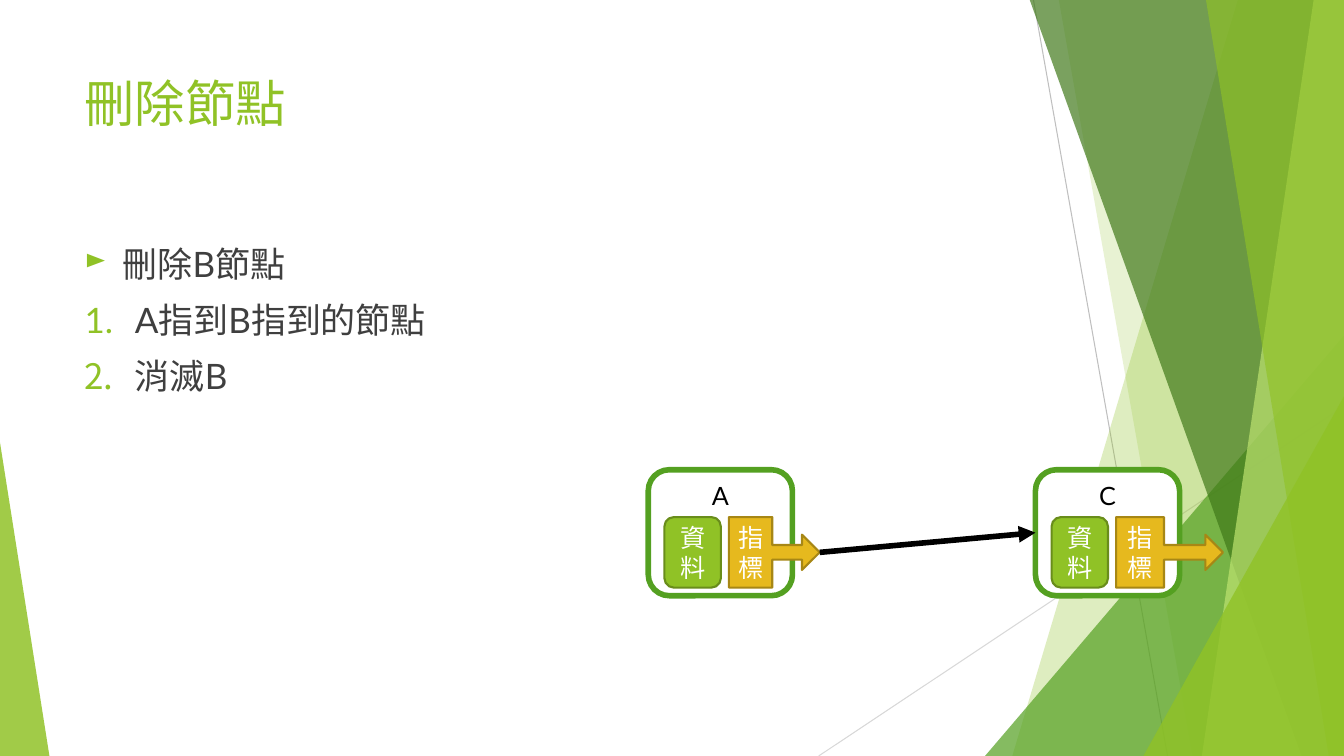
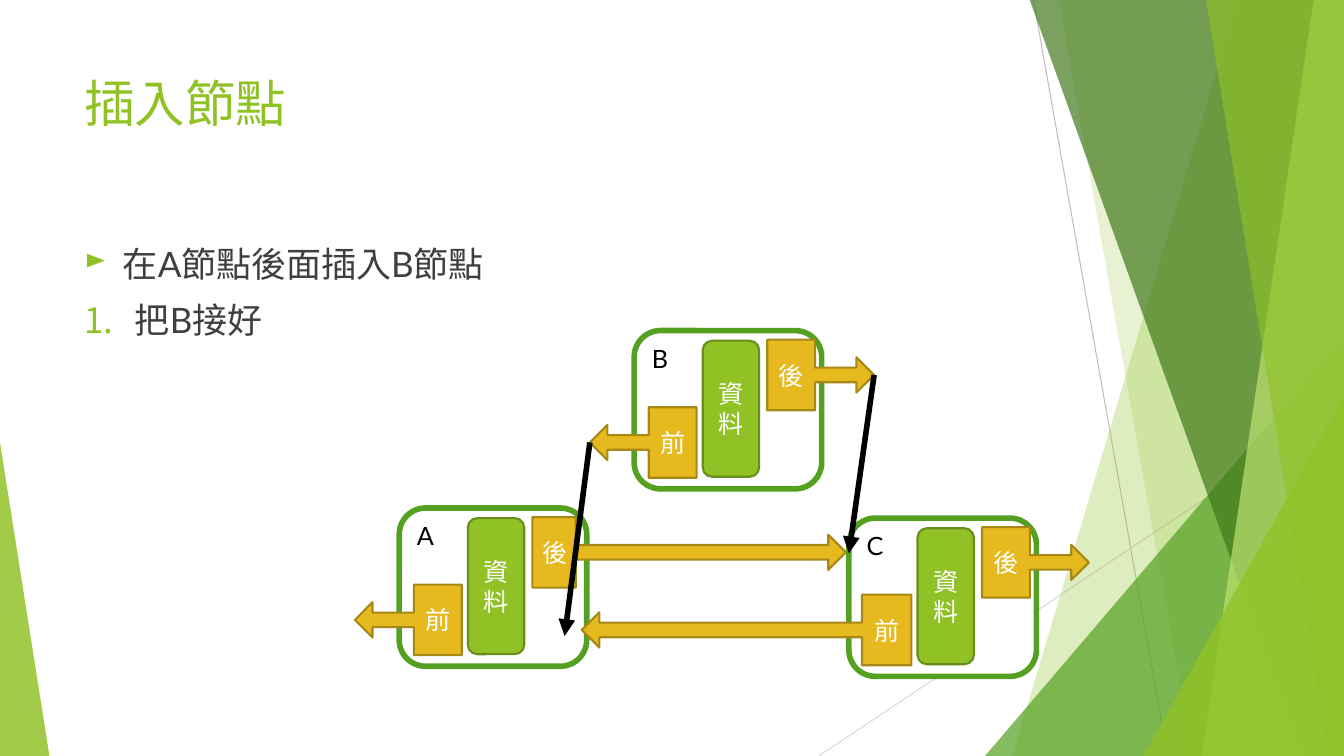
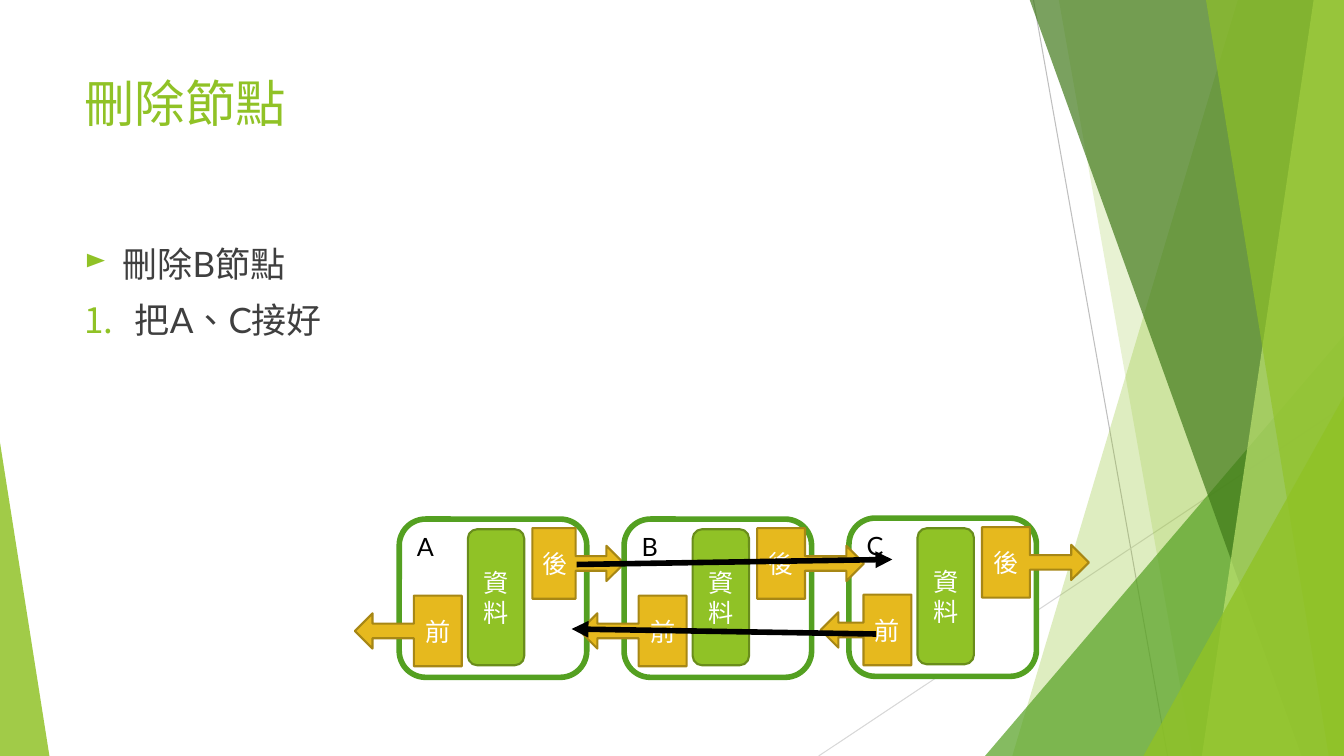
from dataclasses import dataclass
from typing import Optional

from lxml.etree import SubElement
from pptx import Presentation
from pptx.dml.color import RGBColor
from pptx.enum.lang import MSO_LANGUAGE_ID
from pptx.enum.shapes import MSO_CONNECTOR, MSO_SHAPE
from pptx.enum.text import MSO_ANCHOR, PP_ALIGN
from pptx.oxml.ns import qn
from pptx.util import Inches, Pt


@dataclass(frozen=True)
class Theme:
    font: str = "Lato"
    green: str = "90C226"
    mid_green: str = "54A021"
    dark_green: str = "3F7818"
    pale_green: str = "BFE471"
    data_line: str = "698D1B"
    gold: str = "E6B91E"
    gold_line: str = "A78715"
    body: str = "3F3F3F"
    black: str = "000000"
    white: str = "FFFFFF"
    gray: str = "BFBFBF"
    light_gray: str = "D8D8D8"
    title_size: float = 36
    body_size: float = 25
    node_size: float = 18
    heavy_line: float = 4
    thin_line: float = 1.5
    hair_line: float = 0.75


THEME = Theme()
WIDTH, HEIGHT = 13.33, 7.5
BLEED = 0.01


@dataclass(frozen=True)
class Band:
    """Slanted band that runs from its left edge to the right of the slide."""
    top_x: float
    bottom_x: float
    color: str
    opacity: int


@dataclass(frozen=True)
class Corner:
    """Triangle that stands on the bottom edge of the slide."""
    left: float
    top: float
    width: float
    apex: float
    color: str
    opacity: int


@dataclass(frozen=True)
class Pointer:
    length: float = 1.06
    box: float = 0.475


@dataclass(frozen=True)
class Node:
    label: str
    left: float
    top: float
    next: Pointer = Pointer()
    previous: Optional[Pointer] = None


@dataclass
class DrawnNode:
    frame: object
    next: object
    previous: object = None


FACETS = [
    Band(12.28, 10.04, THEME.green, 29),
    Band(10.5, 11.83, THEME.green, 20),
    Corner(9.77, 3.33, 3.56, 1, THEME.mid_green, 71),
    Band(10.21, 12.91, THEME.dark_green, 69),
    Band(13.03, 11.92, THEME.pale_green, 69),
    Band(11.96, 13.18, THEME.green, 64),
    Corner(11.34, 3.93, 1.99, 1, THEME.green, 80),
    Corner(0, 4.39, 0.49, 0, THEME.green, 84),
]


# Text and shape helpers
def write_text(frame, text: str, *, size: float, color: str, align=PP_ALIGN.LEFT,
               anchor=MSO_ANCHOR.TOP, new: bool = False, before: float = 0):
    frame.word_wrap = True
    frame.vertical_anchor = anchor
    paragraph = frame.add_paragraph() if new else frame.paragraphs[0]
    paragraph.alignment = align
    paragraph.space_before = Pt(before)
    run = paragraph.add_run()
    run.text = text
    run.font.name = THEME.font
    run.font.size = Pt(size)
    run.font.color.rgb = RGBColor.from_string(color)
    run.font.language_id = MSO_LANGUAGE_ID.TRADITIONAL_CHINESE
    return paragraph


def set_bullet(paragraph, numbered: bool) -> None:
    indent = Inches(0.5 if numbered else 0.38)
    properties = paragraph._p.get_or_add_pPr()
    properties.set("marL", str(indent))
    properties.set("indent", str(-indent))
    color = SubElement(properties, qn("a:buClr"))
    SubElement(color, qn("a:srgbClr"), val=THEME.green)
    if numbered:
        SubElement(properties, qn("a:buFont"), typeface=THEME.font)
        SubElement(properties, qn("a:buAutoNum"), type="arabicPeriod")
    else:
        SubElement(properties, qn("a:buSzPct"), val="80000")
        SubElement(properties, qn("a:buChar"), char="►")


def style_shape(shape, fill: str, *, line: Optional[str] = None,
                line_width: float = 0, opacity: int = 100) -> None:
    shape.shadow.inherit = False
    shape.fill.solid()
    shape.fill.fore_color.rgb = RGBColor.from_string(fill)
    if opacity < 100:
        color = shape.element.spPr.find(".//" + qn("a:srgbClr"))
        SubElement(color, qn("a:alpha"), val=str(opacity * 1000))
    if line:
        shape.line.color.rgb = RGBColor.from_string(line)
        shape.line.width = Pt(line_width)
    else:
        shape.line.fill.background()


def add_shape(shapes, kind, left: float, top: float, width: float, height: float):
    return shapes.add_shape(kind, Inches(left), Inches(top), Inches(width), Inches(height))


def add_line(shapes, start: tuple[float, float], end: tuple[float, float], *,
             color: str = THEME.black, width: float = THEME.heavy_line, arrow: bool = True):
    connector = shapes.add_connector(MSO_CONNECTOR.STRAIGHT, *map(Inches, start + end))
    connector.line.color.rgb = RGBColor.from_string(color)
    connector.line.width = Pt(width)
    if arrow:
        SubElement(connector.line._get_or_add_ln(), qn("a:tailEnd"), type="triangle")
    SubElement(connector.element.spPr, qn("a:effectLst"))
    return connector


# Shared background, kept on the layout
def add_facet(shapes, facet):
    if isinstance(facet, Band):
        builder = shapes.build_freeform(Inches(facet.top_x), Inches(-BLEED))
        corners = [(WIDTH, -BLEED), (WIDTH, HEIGHT), (facet.bottom_x, HEIGHT)]
        builder.add_line_segments([(Inches(x), Inches(y)) for x, y in corners], close=True)
        shape = builder.convert_to_shape()
    else:
        shape = add_shape(shapes, MSO_SHAPE.ISOSCELES_TRIANGLE, facet.left, facet.top,
                          facet.width, HEIGHT - facet.top)
        shape.adjustments[0] = facet.apex
    style_shape(shape, facet.color, opacity=facet.opacity)
    return shape


def decorate_layout(layout, slide) -> None:
    """Draw the background on a slide, then move it to the layout."""
    for placeholder in list(layout.placeholders):
        layout.shapes.element.remove(placeholder.element)
    shapes = slide.shapes
    parts = [
        add_line(shapes, (10.25, 0), (11.58, HEIGHT), color=THEME.gray,
                 width=THEME.hair_line, arrow=False),
        add_line(shapes, (WIDTH, 4.03), (8.12, HEIGHT), color=THEME.light_gray,
                 width=THEME.hair_line, arrow=False),
    ]
    parts += [add_facet(shapes, facet) for facet in FACETS]
    for part in parts:
        layout.shapes.element.append(part.element)


def add_heading(slide, title: str, task: str, steps: list[str]) -> None:
    left, width = Inches(0.74), Inches(9.4)
    title_box = slide.shapes.add_textbox(left, Inches(0.67), width, Inches(1.44))
    write_text(title_box.text_frame, title, size=THEME.title_size, color=THEME.green)
    body = slide.shapes.add_textbox(left, Inches(2.36), width, Inches(4.24)).text_frame
    for index, text in enumerate([task, *steps]):
        numbered = index > 0
        paragraph = write_text(body, text, size=THEME.body_size, color=THEME.body,
                               new=numbered, before=10 if numbered else 0)
        set_bullet(paragraph, numbered)


# Linked list nodes
def add_frame(shapes, node: Node, width: float, height: float, align):
    frame = add_shape(shapes, MSO_SHAPE.ROUNDED_RECTANGLE, node.left, node.top, width, height)
    style_shape(frame, THEME.white, line=THEME.mid_green, line_width=THEME.heavy_line)
    write_text(frame.text_frame, node.label, size=THEME.node_size, color=THEME.black, align=align)
    return frame


def add_part(shapes, kind, text: str, left: float, top: float, width: float, height: float,
             fill: str, line: str):
    part = add_shape(shapes, kind, left, top, width, height)
    style_shape(part, fill, line=line, line_width=THEME.thin_line)
    write_text(part.text_frame, text, size=THEME.node_size, color=THEME.white,
               align=PP_ALIGN.CENTER, anchor=MSO_ANCHOR.MIDDLE)
    return part


def add_data(shapes, left: float, top: float, height: float) -> None:
    add_part(shapes, MSO_SHAPE.ROUNDED_RECTANGLE, "資料", left, top, 0.56, height,
             THEME.green, THEME.data_line)


def add_pointer(shapes, text: str, pointer: Pointer, base: float, top: float,
                backward: bool = False):
    """Draw a pointer whose box starts at base and whose arrow leads away from it."""
    kind = MSO_SHAPE.LEFT_ARROW_CALLOUT if backward else MSO_SHAPE.RIGHT_ARROW_CALLOUT
    left = base - pointer.length if backward else base
    shape = add_part(shapes, kind, text, left, top, pointer.length, 0.7,
                     THEME.gold, THEME.gold_line)
    for index, value in enumerate((0.206, 0.25, 0.25, pointer.box / pointer.length)):
        shape.adjustments[index] = value
    return shape


def add_node(slide, node: Node) -> DrawnNode:
    shapes = slide.shapes.add_group_shape().shapes
    left, top = node.left, node.top
    if node.previous is None:
        frame = add_frame(shapes, node, 1.43, 1.25, PP_ALIGN.CENTER)
        add_data(shapes, left + 0.16, top + 0.47, 0.7)
        return DrawnNode(frame, add_pointer(shapes, "指標", node.next, left + 0.8, top + 0.47))
    frame = add_frame(shapes, node, 1.86, 1.57, PP_ALIGN.LEFT)
    add_data(shapes, left + 0.68, top + 0.1, 1.35)
    following = add_pointer(shapes, "後", node.next, left + 1.32, top + 0.09)
    previous = add_pointer(shapes, "前", node.previous, left + 0.62, top + 0.76, backward=True)
    return DrawnNode(frame, following, previous)


# Slides
def build_single_delete(slide) -> None:
    add_heading(slide, "刪除節點", "刪除B節點", ["A指到B指到的節點", "消滅B"])
    first = add_node(slide, Node("A", 6.43, 4.66, Pointer(0.9, 0.43)))
    last = add_node(slide, Node("C", 10.27, 4.66))
    link = add_line(slide.shapes, (8.13, 5.48), (10.27, 5.28))
    link.begin_connect(first.next, 3)
    link.end_connect(last.frame, 1)


def build_double_insert(slide) -> None:
    add_heading(slide, "插入節點", "在A節點後面插入B節點", ["把B接好"])
    add_node(slide, Node("A", 3.96, 5.04, Pointer(3.11, 0.43), Pointer()))
    inserted = add_node(slide, Node("B", 6.29, 3.28, previous=Pointer()))
    add_node(slide, Node("C", 8.42, 5.14, previous=Pointer(3.27, 0.49)))
    backward = add_line(slide.shapes, (5.85, 4.39), (5.6, 6.31))
    backward.begin_connect(inserted.previous, 1)
    forward = add_line(slide.shapes, (8.67, 3.72), (8.42, 5.49))
    forward.begin_connect(inserted.next, 3)


def build_double_delete(slide) -> None:
    add_heading(slide, "刪除節點", "刪除B節點", ["把A、C接好"])
    add_node(slide, Node("A", 3.96, 5.15, Pointer(0.91, 0.43), Pointer()))
    add_node(slide, Node("C", 8.42, 5.14, previous=Pointer(0.9)))
    add_node(slide, Node("B", 6.19, 5.15, previous=Pointer()))
    add_line(slide.shapes, (5.72, 5.6), (8.85, 5.55))
    add_line(slide.shapes, (8.69, 6.29), (5.67, 6.24))


def main() -> None:
    presentation = Presentation()
    presentation.slide_width, presentation.slide_height = Inches(WIDTH), Inches(HEIGHT)
    layout = presentation.slide_layouts[6]
    builders = [build_single_delete, build_double_insert, build_double_delete]
    for index, build in enumerate(builders):
        slide = presentation.slides.add_slide(layout)
        if index == 0:
            decorate_layout(layout, slide)
        build(slide)
    presentation.save("out.pptx")


if __name__ == "__main__":
    main()
